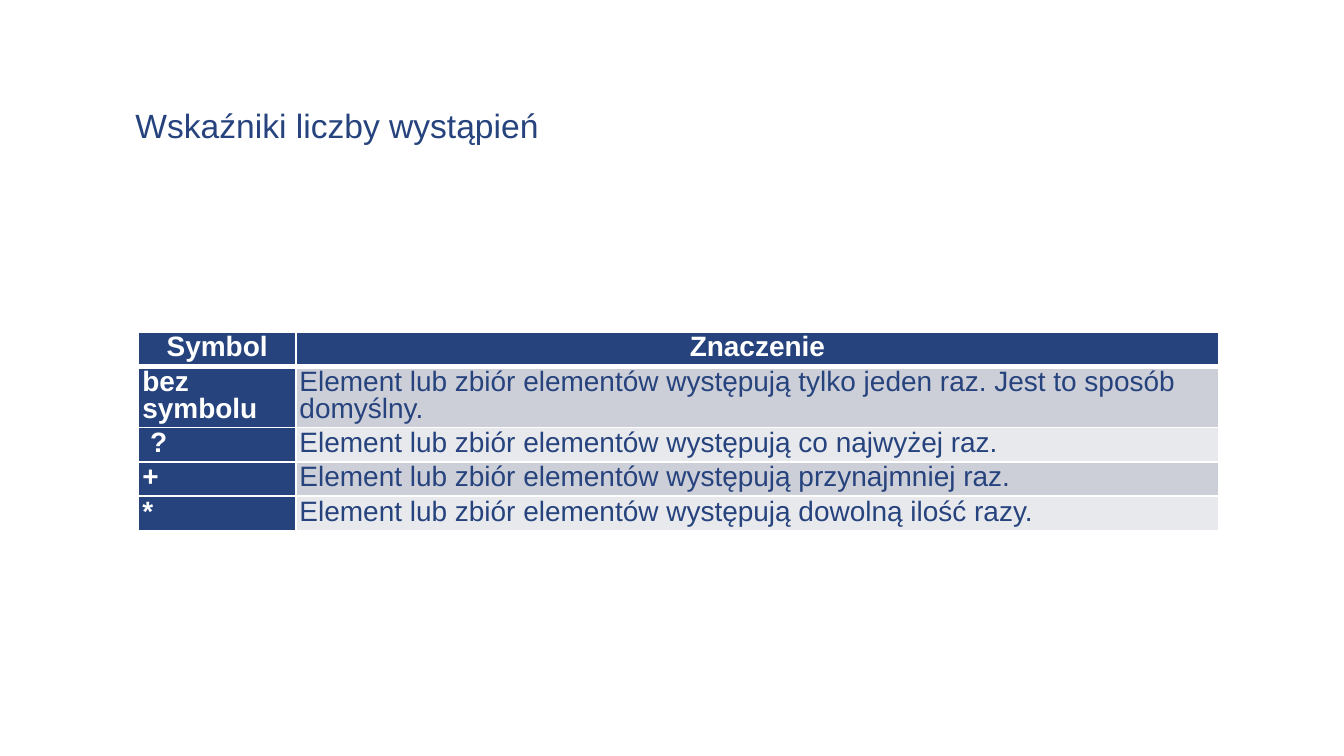
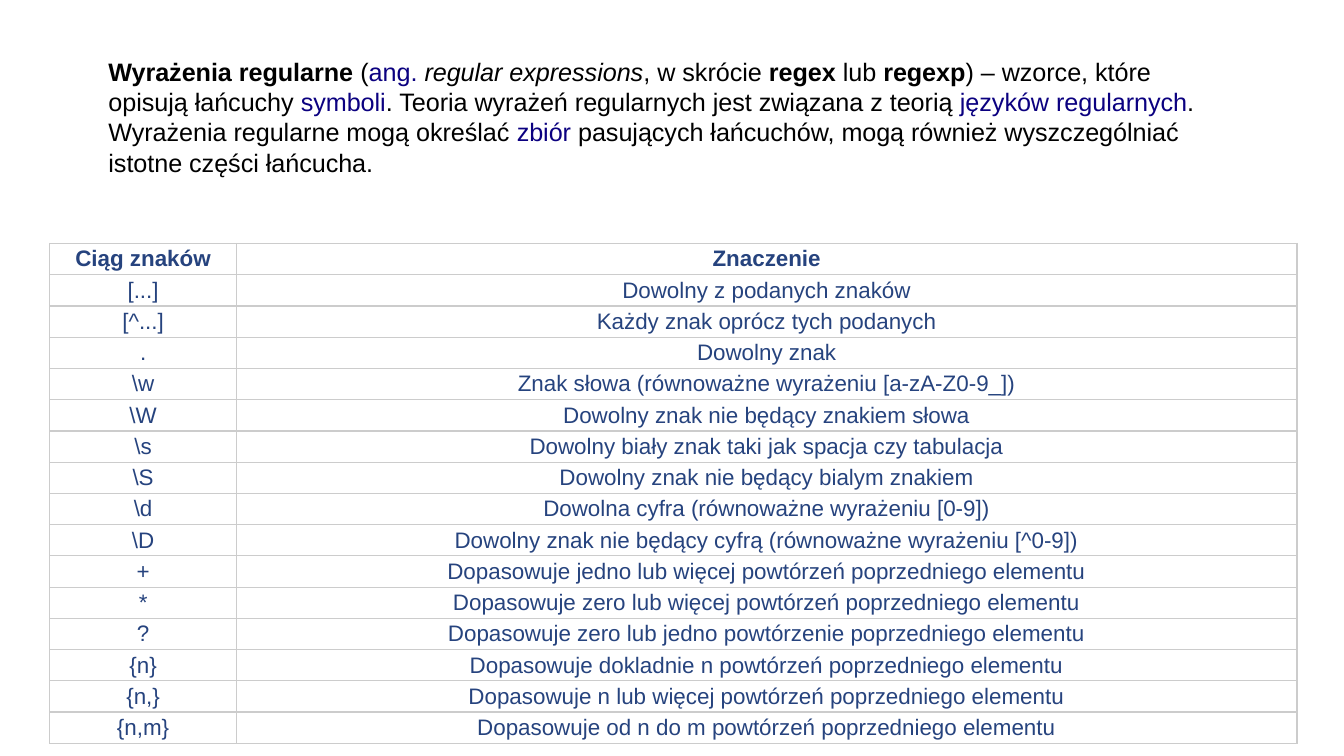
from lxml import etree
from pptx import Presentation
from pptx import util as u
from pptx.dml.color import RGBColor
from pptx.enum import text
from pptx.oxml import ns

COLORS = {
    "navy": "26437E", "white": "FFFFFF", "black": "000000", "link": "0B0080",
    "band_dark": "CDCFD8", "band_light": "E8E9EC", "grid": "CCCCCC",
}
FONT = "Arial"

# Content: occurrence indicators
TITLE = "Wskaźniki liczby wystąpień"
INDICATORS = [
    ("Symbol", "Znaczenie"),
    ("bez symbolu", "Element lub zbiór elementów występują tylko jeden raz. Jest to sposób domyślny."),
    (" ?", "Element lub zbiór elementów występują co najwyżej raz."),
    ("+", "Element lub zbiór elementów występują przynajmniej raz."),
    ("*", "Element lub zbiór elementów występują dowolną ilość razy."),
]

# Content: regular expressions, as (text, style) pieces
DEFINITION = [
    ("Wyrażenia regularne", "bold"), (" (", ""), ("ang. ", "link"),
    ("regular expressions", "italic"), (", w skrócie ", ""), ("regex", "bold"),
    (" lub ", ""), ("regexp", "bold"), (") – wzorce, które opisują łańcuchy ", ""),
    ("symboli", "link"),
    (". Teoria wyrażeń regularnych jest związana z teorią ", ""),
    ("języków regularnych", "link"),
    (". Wyrażenia regularne mogą określać ", ""), ("zbiór", "link"),
    (" pasujących łańcuchów, mogą również wyszczególniać istotne części łańcucha.", ""),
]
PATTERNS = [
    ("Ciąg znaków", "Znaczenie"),
    ("[...]", "Dowolny z podanych znaków"),
    ("[^...]", "Każdy znak oprócz tych podanych"),
    (".", "Dowolny znak"),
    (r"\w", "Znak słowa (równoważne wyrażeniu [a-zA-Z0-9_])"),
    (r"\W", "Dowolny znak nie będący znakiem słowa"),
    (r"\s", "Dowolny biały znak taki jak spacja czy tabulacja"),
    (r"\S", "Dowolny znak nie będący bialym znakiem"),
    (r"\d", "Dowolna cyfra (równoważne wyrażeniu [0-9])"),
    (r"\D", "Dowolny znak nie będący cyfrą (równoważne wyrażeniu [^0-9])"),
    ("+", "Dopasowuje jedno lub więcej powtórzeń poprzedniego elementu"),
    ("*", "Dopasowuje zero lub więcej powtórzeń poprzedniego elementu"),
    ("?", "Dopasowuje zero lub jedno powtórzenie poprzedniego elementu"),
    ("{n}", "Dopasowuje dokladnie n powtórzeń poprzedniego elementu"),
    ("{n,}", "Dopasowuje n lub więcej powtórzeń poprzedniego elementu"),
    ("{n,m}", "Dopasowuje od n do m powtórzeń poprzedniego elementu"),
]


def rgb(name):
    return RGBColor.from_string(COLORS[name])


def set_font(font, size, color, bold=False):
    font.name, font.size, font.bold = FONT, u.Pt(size), bold
    font.color.rgb = rgb(color)


def add_text(slide, left, top, width, height, pieces, size, color):
    frame = slide.shapes.add_textbox(*map(u.Cm, (left, top, width, height))).text_frame
    frame.word_wrap = True
    frame.auto_size = text.MSO_AUTO_SIZE.SHAPE_TO_FIT_TEXT
    paragraph = frame.paragraphs[0]
    set_font(paragraph.font, size, color)
    for content, style in pieces:
        run = paragraph.add_run()
        run.text = content
        if style == "bold":
            run.font.bold = True
        elif style == "italic":
            run.font.italic = True
        elif style == "link":
            run.font.color.rgb = rgb("link")


def set_borders(cell, color, width, bottom_width):
    properties = cell._tc.get_or_add_tcPr()
    for side in "LRTB":
        line = etree.SubElement(properties, ns.qn(f"a:ln{side}"))
        line.set("w", str(u.Pt(bottom_width if side == "B" else width)))
        fill = etree.SubElement(line, ns.qn("a:solidFill"))
        etree.SubElement(fill, ns.qn("a:srgbClr")).set("val", COLORS[color])


def add_table(slide, left, top, columns, heights, rows, size, border, margins, look):
    """look(row, column) gives fill, font colour, bold, centred and bottom line width."""
    frame = slide.shapes.add_table(len(rows), len(columns), u.Cm(left), u.Cm(top),
                                   u.Cm(sum(columns)), u.Cm(sum(heights)))
    table = frame.table
    table.first_row = table.horz_banding = False
    for column, width in zip(table.columns, columns):
        column.width = u.Cm(width)
    for row_index, (row, height) in enumerate(zip(rows, heights)):
        table.rows[row_index].height = u.Cm(height)
        for column_index, content in enumerate(row):
            fill, color, bold, centred, bottom = look(row_index, column_index)
            cell = table.cell(row_index, column_index)
            cell.margin_left = cell.margin_right = u.Cm(margins[0])
            cell.margin_top = cell.margin_bottom = u.Cm(margins[1])
            cell.vertical_anchor = text.MSO_ANCHOR.MIDDLE
            set_borders(cell, *border, bottom)
            if fill:
                cell.fill.solid()
                cell.fill.fore_color.rgb = rgb(fill)
            else:
                cell.fill.background()
            cell.text = content
            paragraph = cell.text_frame.paragraphs[0]
            set_font(paragraph.font, size, color, bold)
            paragraph.alignment = text.PP_ALIGN.CENTER if centred else text.PP_ALIGN.LEFT
    return table


def indicator_look(row, column):
    header = row == 0
    if header or column == 0:
        return "navy", "white", True, header, 3 if header else 1
    return "band_dark" if row % 2 else "band_light", "navy", False, False, 1


def pattern_look(row, column):
    return None, "navy", row == 0, True, 0.75


def main():
    presentation = Presentation()
    presentation.slide_width, presentation.slide_height = u.Cm(25.4), u.Cm(14.28)
    blank = presentation.slide_layouts[6]

    # Occurrence indicators
    slide = presentation.slides.add_slide(blank)
    heights = [1.15 if row == 1 else 0.63 for row in range(len(INDICATORS))]
    table = add_table(slide, 2.62, 6.27, (2.97, 17.45), heights, INDICATORS, 15,
                      ("white", 1), (0.07, 0.07), indicator_look)
    for cell in table.iter_cells():
        cell.text_frame.paragraphs[0].line_spacing = u.Pt(14.4)
    add_text(slide, 2.31, 1.85, 13.92, 1.02, [(TITLE, "")], 18, "navy")

    # Regular expressions
    slide = presentation.slides.add_slide(blank)
    add_text(slide, 1.8, 0.94, 21.72, 2.57, DEFINITION, 13.5, "black")
    add_table(slide, 0.94, 4.6, (3.53, 20.04), [0.59] * len(PATTERNS), PATTERNS, 12,
              ("grid", 0.75), (0.07, 0.04), pattern_look)

    presentation.save("out.pptx")


if __name__ == "__main__":
    main()
